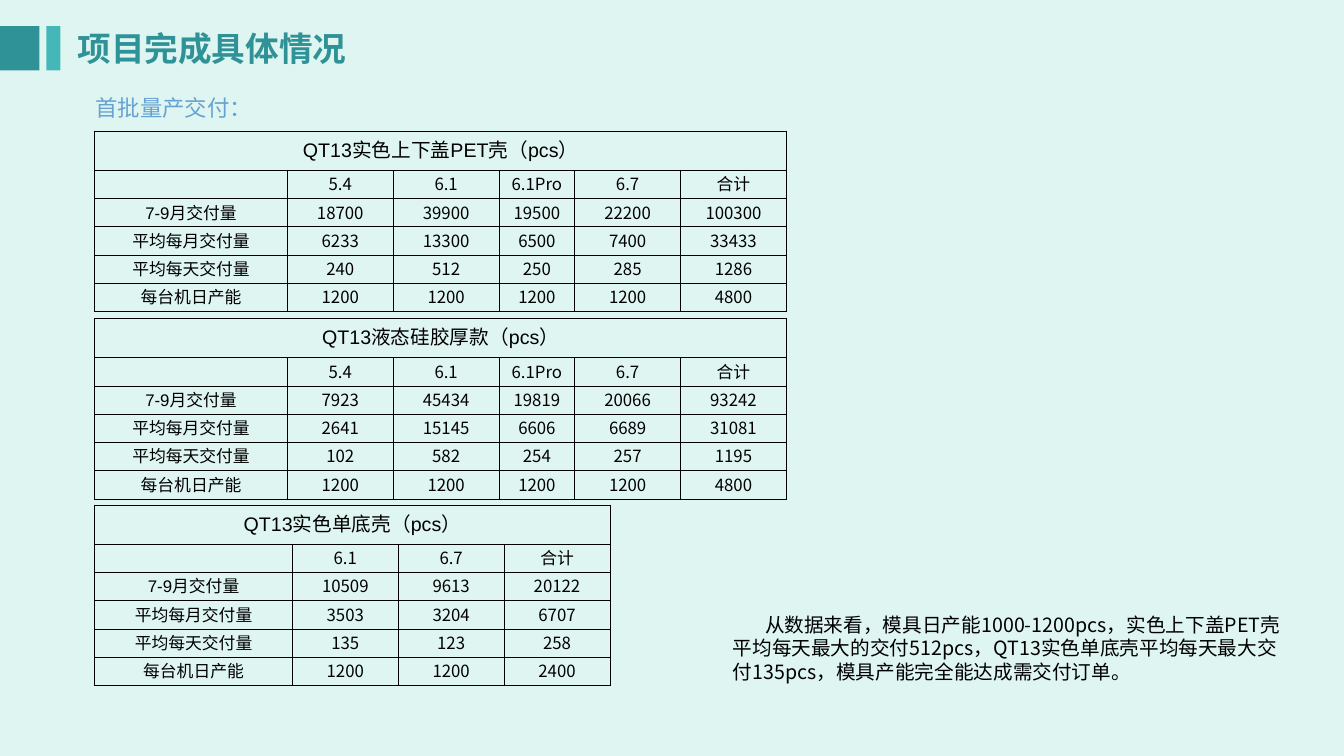
"""Build the slide on first-batch mass production deliveries."""
from lxml.etree import SubElement
from pptx import Presentation
from pptx.dml.color import RGBColor
from pptx.enum.shapes import MSO_SHAPE
from pptx.enum.text import MSO_ANCHOR, MSO_AUTO_SIZE, PP_ALIGN
from pptx.oxml.ns import qn
from pptx.util import Inches, Pt

COLORS = {"background": "DFF5F2", "teal": "2F9296", "aqua": "46B7B9", "blue": "66A3D2", "black": "000000"}
CJK, LATIN = "Noto Sans CJK SC", "Arial"

TITLE_BARS = [(0, 0.39, "teal"), (0.46, 0.14, "aqua")]
TEXTS = [
    {"text": "项目完成具体情况", "box": (0.67, 0.23, 2.95, 0.5), "size": 24, "color": "teal", "bold": True},
    {"text": "首批量产交付：", "box": (0.85, 0.75, 10.11, 0.5), "size": 16, "color": "blue", "spacing": 1.5},
    {"text": "从数据来看，模具日产能1000-1200pcs，实色上下盖PET壳平均每天最大的交付512pcs，"
             "QT13实色单底壳平均每天最大交付135pcs，模具产能完全能达成需交付订单。",
     "box": (7.17, 6.03, 5.77, 0.81), "size": 14, "color": "black", "indent": 0.32},
]

ROW_LABELS = ["", "7-9月交付量", "平均每月交付量", "平均每天交付量", "每台机日产能"]
FIVE_COLUMNS = [1.91, 1.05, 1.05, 0.75, 1.05, 1.05]
FIVE_HEADERS = ["5.4", "6.1", "6.1Pro", "6.7", "合计"]
DELIVERIES = [
    {"title": "QT13实色上下盖PET壳（pcs）", "top": 1.3, "columns": FIVE_COLUMNS, "rows": [
        FIVE_HEADERS,
        [18700, 39900, 19500, 22200, 100300],
        [6233, 13300, 6500, 7400, 33433],
        [240, 512, 250, 285, 1286],
        [1200, 1200, 1200, 1200, 4800]]},
    {"title": "QT13液态硅胶厚款（pcs）", "top": 3.16, "columns": FIVE_COLUMNS, "rows": [
        FIVE_HEADERS,
        [7923, 45434, 19819, 20066, 93242],
        [2641, 15145, 6606, 6689, 31081],
        [102, 582, 254, 257, 1195],
        [1200, 1200, 1200, 1200, 4800]]},
    {"title": "QT13实色单底壳（pcs）", "top": 5.01, "columns": [1.96, 1.05, 1.05, 1.05], "rows": [
        ["6.1", "6.7", "合计"],
        [10509, 9613, 20122],
        [3503, 3204, 6707],
        [135, 123, 258],
        [1200, 1200, 2400]]},
]
TABLE_LEFT, TITLE_HEIGHT, ROW_HEIGHT = 0.94, 0.39, 0.28


def rgb(name):
    return RGBColor.from_string(COLORS[name])


def format_runs(paragraph, size, color, latin=CJK, bold=False):
    for run in paragraph.runs:
        run.font.size = Pt(size)
        run.font.bold = bold
        run.font.name = latin
        run.font.color.rgb = rgb(color)
        SubElement(run.font._element, qn("a:ea"), typeface=CJK)


def add_bar(slide, left, width, color):
    bar = slide.shapes.add_shape(MSO_SHAPE.RECTANGLE, Inches(left), Inches(0.26), Inches(width), Inches(0.44))
    bar.shadow.inherit = False
    bar.fill.solid()
    bar.fill.fore_color.rgb = rgb(color)
    bar.line.fill.background()


def add_text(slide, item):
    frame = slide.shapes.add_textbox(*map(Inches, item["box"])).text_frame
    frame.word_wrap = True
    frame.auto_size = MSO_AUTO_SIZE.SHAPE_TO_FIT_TEXT
    frame.text = item["text"]
    paragraph = frame.paragraphs[0]
    if "spacing" in item:
        paragraph.line_spacing = item["spacing"]
    if "indent" in item:
        properties = paragraph._p.get_or_add_pPr()
        properties.set("marL", "0")
        properties.set("indent", str(Inches(item["indent"])))
    format_runs(paragraph, item["size"], item["color"], bold=item.get("bold", False))


def style_cell(cell, text, size, latin):
    cell.text_frame.text = text
    cell.vertical_anchor = MSO_ANCHOR.MIDDLE
    cell.margin_left = cell.margin_right = cell.margin_top = Inches(0.01)
    paragraph = cell.text_frame.paragraphs[0]
    paragraph.alignment = PP_ALIGN.CENTER
    format_runs(paragraph, size, "black", latin)
    if not text:
        SubElement(paragraph._p, qn("a:endParaRPr"), sz=str(size * 100))
    properties = cell._tc.get_or_add_tcPr()
    for side in ("lnL", "lnR", "lnT", "lnB"):
        border = SubElement(properties, qn(f"a:{side}"), w=str(Pt(0.5)))
        fill = SubElement(border, qn("a:solidFill"))
        SubElement(fill, qn("a:srgbClr"), val=COLORS["black"])
    cell.fill.background()


def add_delivery_table(slide, delivery):
    columns = delivery["columns"]
    heights = [TITLE_HEIGHT] + [ROW_HEIGHT] * len(ROW_LABELS)
    table = slide.shapes.add_table(
        len(heights), len(columns), Inches(TABLE_LEFT), Inches(delivery["top"]),
        Inches(sum(columns)), Inches(sum(heights))).table
    table.first_row = table.horz_banding = False
    for column, width in zip(table.columns, columns):
        column.width = Inches(width)
    for row, height in zip(table.rows, heights):
        row.height = Inches(height)
    title_row = [delivery["title"]] + [""] * (len(columns) - 1)
    body = [[label, *values] for label, values in zip(ROW_LABELS, delivery["rows"])]
    for row_index, values in enumerate([title_row, *body]):
        for column_index, value in enumerate(values):
            latin = LATIN if row_index == 0 or column_index == 0 or value == "合计" else CJK
            style_cell(table.cell(row_index, column_index), str(value), 12 if row_index else 14, latin)
    table.cell(0, 0).merge(table.cell(0, len(columns) - 1))


def main():
    presentation = Presentation()
    presentation.slide_width, presentation.slide_height = Inches(13.33), Inches(7.5)
    slide = presentation.slides.add_slide(presentation.slide_layouts[6])
    slide.background.fill.solid()
    slide.background.fill.fore_color.rgb = rgb("background")
    for bar in TITLE_BARS:
        add_bar(slide, *bar)
    for item in TEXTS:
        add_text(slide, item)
    for delivery in DELIVERIES:
        add_delivery_table(slide, delivery)
    presentation.save("out.pptx")


if __name__ == "__main__":
    main()
